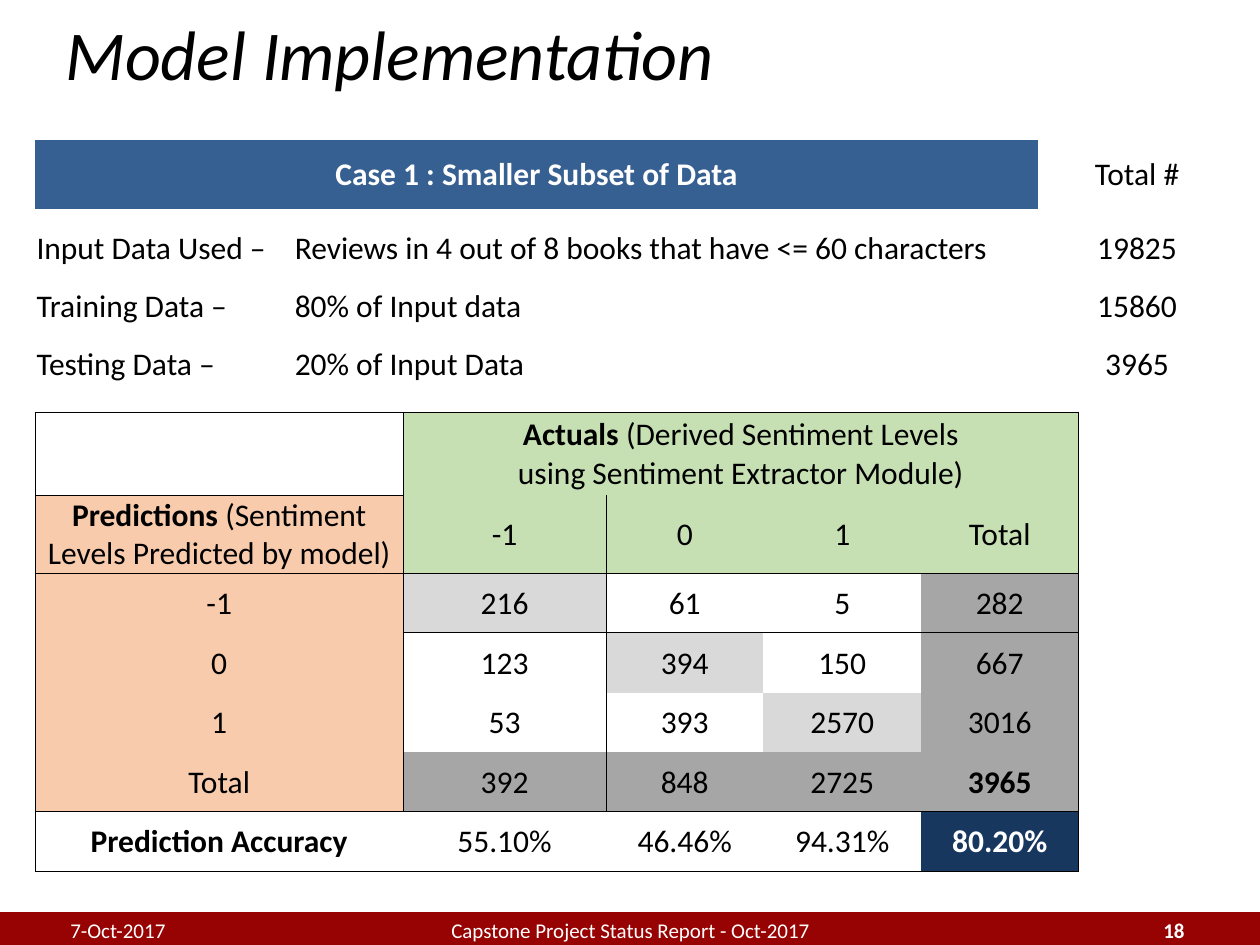
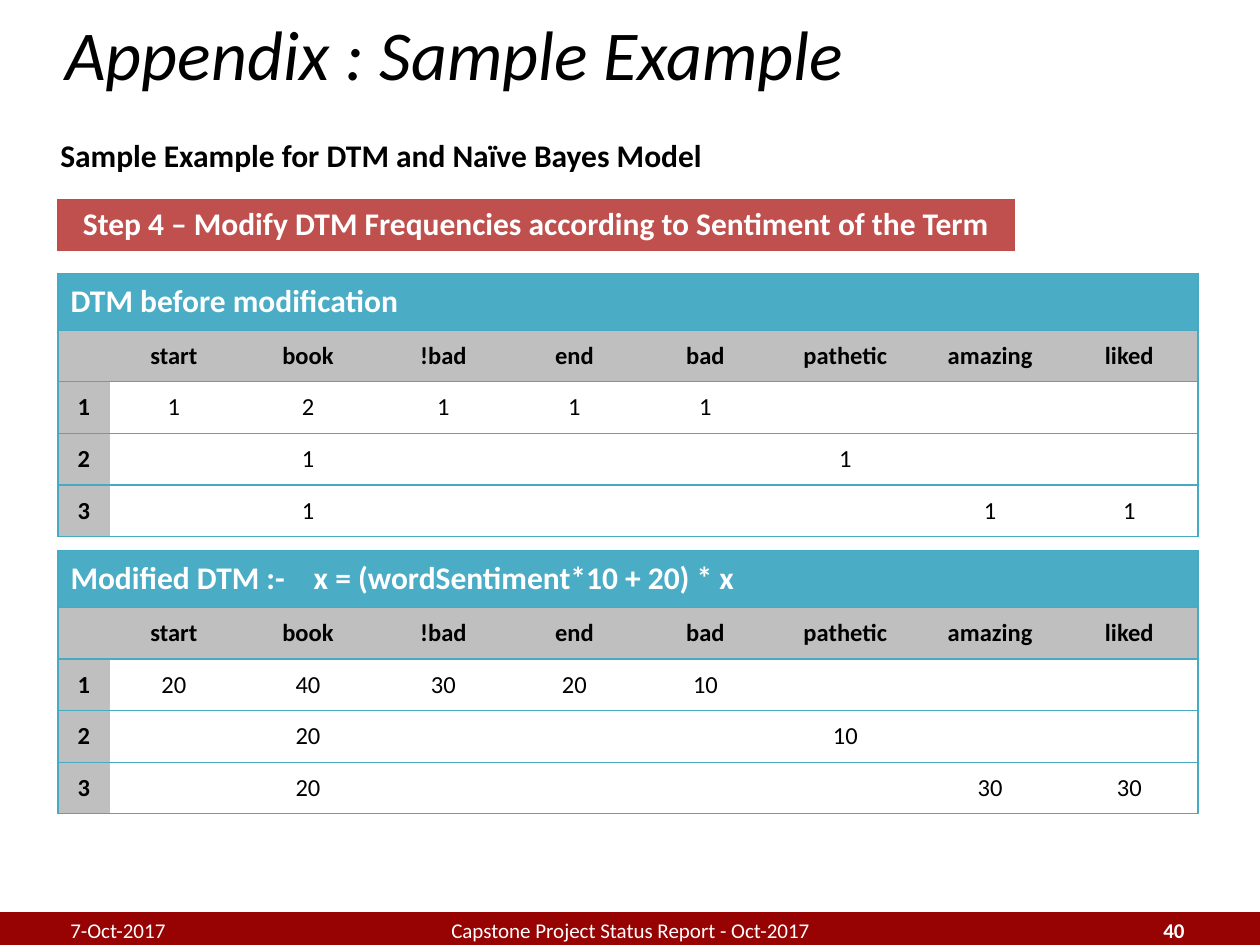
"""Build two capstone report slides: model accuracy and a sample term matrix."""
from lxml.etree import SubElement
from pptx import Presentation
from pptx.dml.color import RGBColor
from pptx.enum.shapes import MSO_SHAPE
from pptx.enum.text import MSO_ANCHOR, PP_ALIGN
from pptx.oxml.ns import qn
from pptx.util import Inches, Pt

FONT = "Calibri"
BLACK = RGBColor(0x00, 0x00, 0x00)
WHITE = RGBColor(0xFF, 0xFF, 0xFF)
MAROON = RGBColor(0x97, 0x03, 0x03)
BLUE = RGBColor(0x37, 0x60, 0x92)
NAVY = RGBColor(0x17, 0x37, 0x5E)
GREEN = RGBColor(0xC6, 0xE0, 0xB4)
PEACH = RGBColor(0xF8, 0xCB, 0xAD)
LIGHT_GRAY = RGBColor(0xD9, 0xD9, 0xD9)
MID_GRAY = RGBColor(0xBF, 0xBF, 0xBF)
DARK_GRAY = RGBColor(0xA6, 0xA6, 0xA6)
RED = RGBColor(0xC0, 0x50, 0x4D)
RED_LINE = RGBColor(0xBF, 0x4C, 0x48)
TEAL = RGBColor(0x4B, 0xAC, 0xC6)
TEAL_LINE = RGBColor(0x46, 0xAA, 0xC5)
LEFT, CENTER, RIGHT = PP_ALIGN.LEFT, PP_ALIGN.CENTER, PP_ALIGN.RIGHT
NO_STYLE = "{2D5ABB26-0587-4C30-8999-92F81FD0307C}"
TIGHT = (0.01, 0.01, 0.01, 0)
ROOMY = (0.1, 0.05, 0.1, 0.05)

DATE = "7-Oct-2017"
REPORT = "Capstone Project Status Report - Oct-2017"

CASE = [
    ["Case 1 : Smaller Subset of Data", "", "", "Total #"],
    ["Input Data Used –", "Reviews in 4 out of 8 books that have <= 60 characters", "", "19825"],
    ["Training Data –", "80% of Input data", "", "15860"],
    ["Testing Data –", "20% of Input Data", "", "3965"],
]
CASE_COLS = [2.05, 5.91, 0.14, 1.29]
CASE_ROWS = [0.55, 0.46, 0.46, 0.46]

ACCURACY = [
    ["", ("Actuals ", "(Derived Sentiment Levels\nusing Sentiment Extractor Module)"), "", "", ""],
    [("Predictions ", "(Sentiment Levels Predicted by model)"), "-1", "0", "1", "Total"],
    ["-1", "216", "61", "5", "282"],
    ["0", "123", "394", "150", "667"],
    ["1", "53", "393", "2570", "3016"],
    ["Total", "392", "848", "2725", "3965"],
    ["Prediction Accuracy", "55.10%", "46.46%", "94.31%", "80.20%"],
]
ACCURACY_COLS = [2.92, 1.61, 1.25, 1.25, 1.25]
ACCURACY_ROWS = [0.66, 0.62, 0.47, 0.48, 0.47, 0.47, 0.48]
ACCURACY_BOXES = [(0, 0, 0, 0), (0, 1, 1, 4), (1, 0, 5, 0), (2, 1, 5, 4), (6, 0, 6, 4)]

TERMS = ["start", "book", "!bad", "end", "bad", "pathetic", "amazing", "liked"]
DTMS = [
    (2.17, "DTM before modification", [
        {"start": 1, "book": 2, "!bad": 1, "end": 1, "bad": 1},
        {"book": 1, "pathetic": 1},
        {"book": 1, "amazing": 1, "liked": 1}]),
    (4.37, "Modified DTM :-\tx = (wordSentiment*10 + 20) * x", [
        {"start": 20, "book": 40, "!bad": 30, "end": 20, "bad": 10},
        {"book": 20, "pathetic": 10},
        {"book": 20, "amazing": 30, "liked": 30}]),
]
DTM_COLS = [0.41, 1.02, 1.11, 1.04, 1.04, 1.04, 1.18, 1.12, 1.09]
DTM_ROWS = [0.45] + [0.41] * 4
DTM_BOXES = [(r, 0, r, 8) for r in range(5)]
FORMULA_TAB = 1.93


def write(tf, content, size=18, color=BLACK, bold=False, italic=False, align=LEFT, spacing=None):
    p = tf.paragraphs[0]
    p.alignment = align
    if spacing:
        p.line_spacing = spacing
    lead, body = content if isinstance(content, tuple) else ("", content)
    if "\t" in body:
        tabs = SubElement(p._p.get_or_add_pPr(), qn("a:tabLst"))
        SubElement(tabs, qn("a:tab"), pos=str(Inches(FORMULA_TAB)), algn="l")
    if lead:
        p.add_run().text = lead
    for i, line in enumerate(body.split("\n")):
        if i:
            p.add_line_break()
        p.add_run().text = line
    for i, r in enumerate(p.runs):
        r.font.name = FONT
        r.font.size = Pt(size)
        r.font.color.rgb = color
        r.font.bold = bold or bool(lead and i == 0)
        r.font.italic = italic


def add_text(s, box, content, anchor=MSO_ANCHOR.MIDDLE, **style):
    tf = s.shapes.add_textbox(*map(Inches, box)).text_frame
    tf.word_wrap = True
    tf.vertical_anchor = anchor
    write(tf, content, **style)


def add_border(cell, side, color, width):
    ln = SubElement(cell._tc.get_or_add_tcPr(), qn(f"a:ln{side}"), w=str(Pt(width)))
    fill = SubElement(ln, qn("a:solidFill"))
    SubElement(fill, qn("a:srgbClr"), val=str(color))


def add_grid(s, left, top, cols, rows, data, style, insets, merge=None, boxes=(), line=None):
    size = map(Inches, (left, top, sum(cols), sum(rows)))
    table = s.shapes.add_table(len(rows), len(cols), *size).table
    table.first_row = table.horz_banding = False
    table._tbl.tblPr.find(qn("a:tableStyleId")).text = NO_STYLE
    for col, width in zip(table.columns, cols):
        col.width = Inches(width)
    for row, height in zip(table.rows, rows):
        row.height = Inches(height)
    if merge:
        table.cell(0, merge[0]).merge(table.cell(0, merge[1]))
    for r, values in enumerate(data):
        for c, value in enumerate(values):
            cell = table.cell(r, c)
            cell.vertical_anchor = MSO_ANCHOR.MIDDLE
            (cell.margin_left, cell.margin_top,
             cell.margin_right, cell.margin_bottom) = map(Inches, insets)
            last = c + cell.span_width - 1 if cell.is_merge_origin else c
            for top_row, first_col, end_row, end_col in boxes:
                if top_row <= r <= end_row and first_col <= c <= end_col:
                    edges = {"L": c == first_col, "R": last == end_col,
                             "T": r == top_row, "B": r == end_row}
                    for side, on in edges.items():
                        if on:
                            add_border(cell, side, *line)
            look = style(r, c)
            fill = look.pop("fill", None)
            if fill is None:
                cell.fill.background()
            else:
                cell.fill.solid()
                cell.fill.fore_color.rgb = fill
            if value:
                write(cell.text_frame, value, **look)


def case_style(r, c):
    if r == 0:
        return dict(align=CENTER) if c > 1 else dict(
            align=CENTER, bold=True, color=WHITE, fill=BLUE)
    return dict(align=CENTER if c == 3 else LEFT, spacing=1.5)


def accuracy_style(r, c):
    total = len(ACCURACY) - 2
    look = dict(align=CENTER)
    if r > total:
        look["bold"] = c in (0, 4)
        if c == 4:
            look.update(color=WHITE, fill=NAVY)
    elif c == 0:
        look["fill"] = PEACH if r else None
    elif r < 2:
        look["fill"] = GREEN
    elif r == total or c == 4:
        look.update(fill=DARK_GRAY, bold=r == total and c == 4)
    elif r == c + 1:
        look["fill"] = LIGHT_GRAY
    return look


def dtm_style(r, c):
    if r == 0:
        return dict(bold=True, color=WHITE, fill=TEAL)
    head = r == 1 or c == 0
    return dict(size=14, align=CENTER, bold=head, fill=MID_GRAY if head else None)


def step_style(r, c):
    return dict(align=CENTER, bold=True, color=WHITE, fill=RED)


def add_slide(prs, title, number):
    s = prs.slides.add_slide(prs.slide_layouts[6])
    band = s.shapes.add_shape(MSO_SHAPE.RECTANGLE, *map(Inches, (0, 7.25, 10, 0.25)))
    band.shadow.inherit = False
    band.fill.solid()
    band.fill.fore_color.rgb = band.line.color.rgb = MAROON
    band.line.width = Pt(2)
    add_text(s, (0.42, 0, 9.25, 0.83), title, size=40, italic=True)
    footers = [(0.46, 2.33, DATE, LEFT), (3.17, 3.67, REPORT, CENTER), (7.17, 2.33, number, RIGHT)]
    for left, width, text, align in footers:
        add_text(s, (left, 7.18, width, 0.4), text, size=12, color=WHITE,
                 align=align, bold=text == number)
    return s


def add_model_slide(prs):
    s = add_slide(prs, "Model Implementation", "18")
    add_grid(s, 0.28, 1.11, CASE_COLS, CASE_ROWS, CASE, case_style, TIGHT, merge=(0, 1))
    add_grid(s, 0.28, 3.27, ACCURACY_COLS, ACCURACY_ROWS, ACCURACY, accuracy_style, TIGHT,
             merge=(1, 4), boxes=ACCURACY_BOXES, line=(BLACK, 0.5))


def add_example_slide(prs):
    s = add_slide(prs, "Appendix : Sample Example", "40")
    add_text(s, (0.38, 1.03, 9.25, 0.47), "Sample Example for DTM and Naïve Bayes Model",
             anchor=MSO_ANCHOR.TOP, bold=True)
    step = "Step 4 – Modify DTM Frequencies according to Sentiment of the Term"
    add_grid(s, 0.46, 1.58, [7.59], [0.41], [[step]], step_style, ROOMY,
             boxes=[(0, 0, 0, 0)], line=(RED_LINE, 0.75))
    for top, heading, counts in DTMS:
        data = [[heading] + [""] * len(TERMS), [""] + TERMS]
        for i, doc in enumerate(counts, 1):
            data.append([str(i)] + [str(doc.get(term, "")) for term in TERMS])
        add_grid(s, 0.46, top, DTM_COLS, DTM_ROWS, data, dtm_style, ROOMY,
                 merge=(0, 8), boxes=DTM_BOXES, line=(TEAL_LINE, 0.75))


def main():
    prs = Presentation()
    prs.slide_width, prs.slide_height = Inches(10), Inches(7.5)
    add_model_slide(prs)
    add_example_slide(prs)
    prs.save("out.pptx")


if __name__ == "__main__":
    main()
